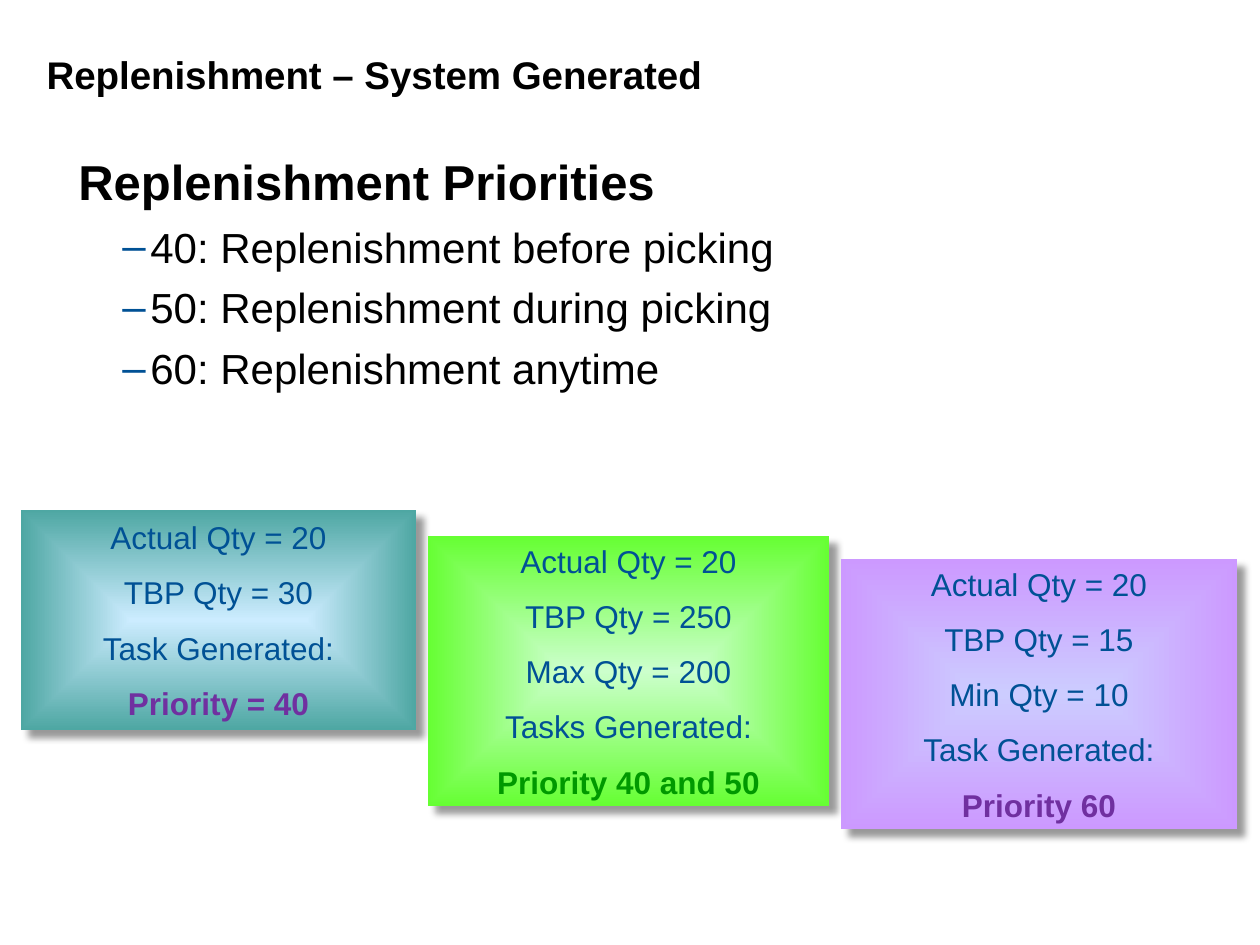
import pptx
import pptx.dml.color
import pptx.enum.shapes
import pptx.enum.text
import pptx.oxml
import pptx.oxml.ns
import pptx.util

RGBColor = pptx.dml.color.RGBColor
Anchor = pptx.enum.text.MSO_ANCHOR

PX = 914400 / 126  # EMU in one px
FONT = "Arial"
NAMESPACE = pptx.oxml.ns.nsdecls("a")

BLACK = RGBColor(0x00, 0x00, 0x00)
BLUE = RGBColor(0x00, 0x51, 0x95)
PURPLE = RGBColor(0x70, 0x30, 0xA0)
GREEN = RGBColor(0x00, 0x99, 0x00)
ICE = RGBColor(0xCC, 0xEC, 0xFF)
TEAL = RGBColor(0x4E, 0xA7, 0xA3)
MINT = RGBColor(0xCC, 0xFF, 0xCC)
LIME = RGBColor(0x66, 0xFF, 0x33)
LAVENDER = RGBColor(0xCC, 0xCC, 0xFF)
VIOLET = RGBColor(0xCC, 0x99, 0xFF)

PRIORITIES = [
    "40: Replenishment before picking",
    "50: Replenishment during picking",
    "60: Replenishment anytime",
]

# Box, centre colour, edge colour, colour of the last line, lines
CARDS = [
    ((21, 510, 395, 220), ICE, TEAL, PURPLE,
     ["Actual Qty = 20", "TBP Qty = 30", "Task Generated:", "Priority = 40"]),
    ((428, 536, 401, 270), MINT, LIME, GREEN,
     ["Actual Qty = 20", "TBP Qty = 250", "Max Qty = 200",
      "Tasks Generated:", "Priority 40 and 50"]),
    ((841, 559, 396, 270), LAVENDER, VIOLET, PURPLE,
     ["Actual Qty = 20", "TBP Qty = 15", "Min Qty = 10",
      "Task Generated:", "Priority 60"]),
]


def emu(px):
    return pptx.util.Emu(round(px * PX))


def style_paragraph(paragraph, size, color, bold=False):
    for run in paragraph.runs:
        run.font.name = FONT
        run.font.size = pptx.util.Pt(size)
        run.font.bold = bold
        run.font.color.rgb = color


def add_dash_bullet(paragraph):
    properties = paragraph._p.get_or_add_pPr()
    properties.set("marL", str(emu(72)))
    properties.set("indent", str(emu(-28)))
    for xml in (
        f'<a:buClr {NAMESPACE}><a:srgbClr val="{BLUE}"/></a:buClr>',
        f'<a:buFont {NAMESPACE} typeface="{FONT}"/>',
        f'<a:buChar {NAMESPACE} char="–"/>',
    ):
        properties.append(pptx.oxml.parse_xml(xml))


def set_glow_fill(shape, center, edge):
    """Fill with a rectangular gradient from the centre to the edge."""
    gradient = pptx.oxml.parse_xml(
        f'<a:gradFill {NAMESPACE} rotWithShape="1"><a:gsLst>'
        f'<a:gs pos="0"><a:srgbClr val="{center}"/></a:gs>'
        f'<a:gs pos="100000"><a:srgbClr val="{edge}"/></a:gs></a:gsLst>'
        '<a:path path="shape"><a:fillToRect l="50000" t="50000" r="50000" b="50000"/>'
        '</a:path></a:gradFill>')
    geometry = shape._element.spPr.find(pptx.oxml.ns.qn("a:prstGeom"))
    geometry.addnext(gradient)


def set_drop_shadow(shape):
    shape.shadow.inherit = False
    effects = shape._element.spPr.find(pptx.oxml.ns.qn("a:effectLst"))
    effects.append(pptx.oxml.parse_xml(
        f'<a:outerShdw {NAMESPACE} blurRad="{pptx.util.Pt(4)}" dist="{pptx.util.Pt(6)}" '
        'dir="2700000" algn="tl" rotWithShape="0">'
        '<a:srgbClr val="000000"><a:alpha val="40000"/></a:srgbClr></a:outerShdw>'))


def place_title(slide, box):
    title = slide.shapes.title
    title.left, title.top, title.width, title.height = map(emu, box)
    frame = title.text_frame
    frame.text = "Replenishment – System Generated"
    frame.vertical_anchor = Anchor.TOP
    frame.margin_top = emu(9)
    frame.paragraphs[0].alignment = pptx.enum.text.PP_ALIGN.LEFT
    style_paragraph(frame.paragraphs[0], 22, BLACK, bold=True)


def add_priorities(slide, box):
    frame = slide.shapes.add_textbox(*map(emu, box)).text_frame
    frame.word_wrap = True
    frame.margin_top = emu(12)
    heading = frame.paragraphs[0]
    heading.text = "Replenishment Priorities"
    heading.space_after = pptx.util.Pt(6.5)
    style_paragraph(heading, 28, BLACK, bold=True)
    for text in PRIORITIES:
        paragraph = frame.add_paragraph()
        paragraph.text = text
        paragraph.level = 1
        paragraph.space_after = pptx.util.Pt(5.8)
        add_dash_bullet(paragraph)
        style_paragraph(paragraph, 24, BLACK)


def add_card(slide, box, center, edge, accent, lines):
    card = slide.shapes.add_shape(
        pptx.enum.shapes.MSO_SHAPE.RECTANGLE, *map(emu, box))
    set_glow_fill(card, center, edge)
    card.line.fill.background()
    set_drop_shadow(card)
    frame = card.text_frame
    frame.text = "\n".join(lines)
    frame.word_wrap = True
    frame.vertical_anchor = Anchor.MIDDLE
    for index, paragraph in enumerate(frame.paragraphs):
        is_last = index == len(lines) - 1
        paragraph.alignment = pptx.enum.text.PP_ALIGN.CENTER
        paragraph.space_before = pptx.util.Pt(10 if index else 0)
        style_paragraph(paragraph, 18, accent if is_last else BLUE, bold=is_last)


def main():
    presentation = pptx.Presentation()
    presentation.slide_width = emu(1260)
    presentation.slide_height = emu(945)
    slide = presentation.slides.add_slide(presentation.slide_layouts[5])
    place_title(slide, (34, 42, 1226, 91))
    add_priorities(slide, (66, 139, 1029, 349))
    for card in CARDS:
        add_card(slide, *card)
    presentation.save("out.pptx")


if __name__ == "__main__":
    main()
